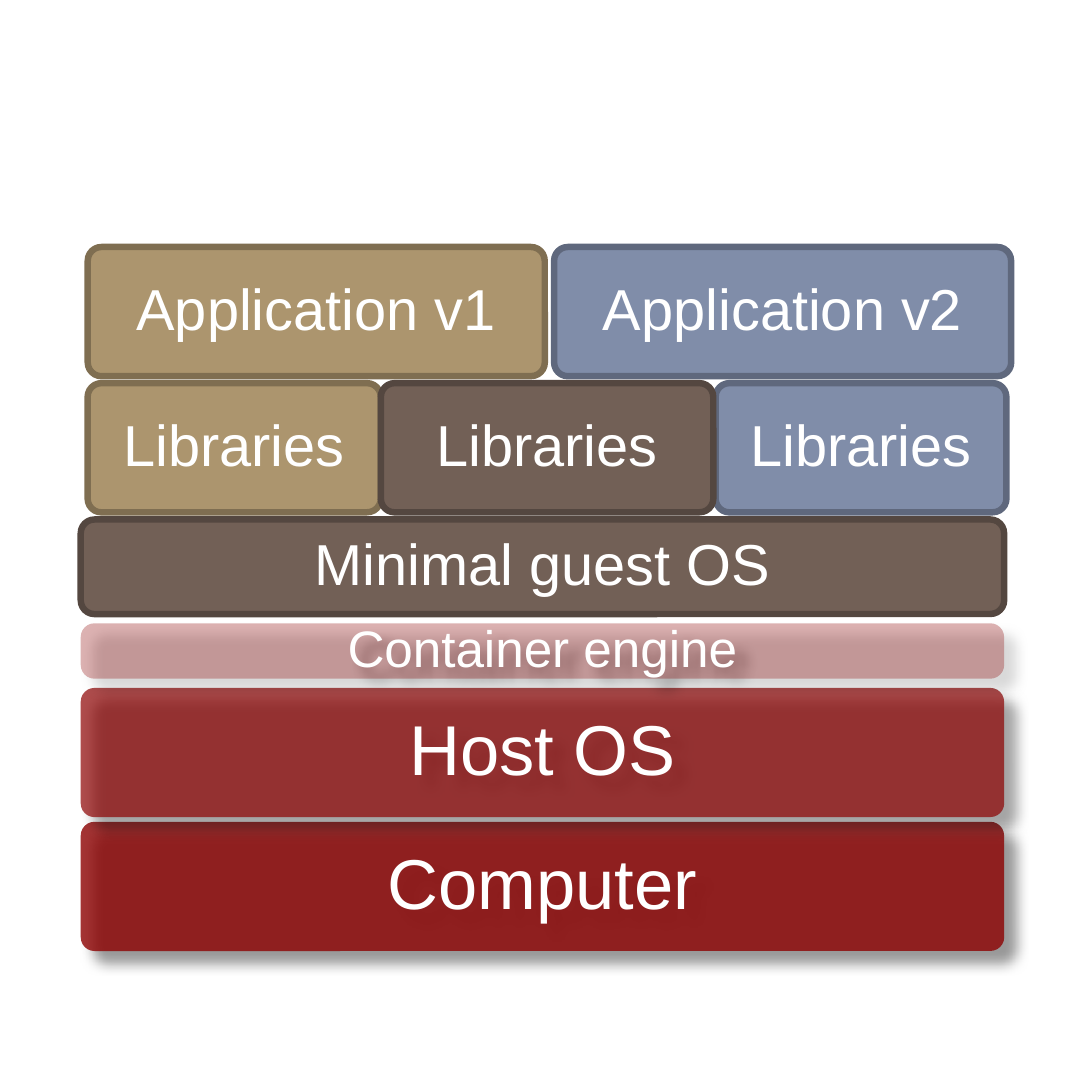
from lxml.etree import SubElement
from pptx import Presentation
from pptx.dml.color import RGBColor
from pptx.enum.shapes import MSO_SHAPE
from pptx.enum.text import MSO_ANCHOR, PP_ALIGN
from pptx.oxml.ns import qn
from pptx.util import Inches, Pt

COLORS = {
    "host": "8D0101",
    "shared": "726056",
    "shared_edge": "544740",
    "first": "AC956E",
    "first_edge": "7F6E51",
    "second": "808DA9",
    "second_edge": "5F687D",
    "text": "FFFFFF",
    "shadow": "000000",
}
CORNER = 0.06
LAYER_LEFT, LAYER_WIDTH = 0.35, 4
ROW_HEIGHT = 0.56
APPLICATION_TOP, LIBRARY_TOP = 1.07, 1.66

HOST_LAYERS = [
    ("Computer", 3.56, ROW_HEIGHT, 80, 22),
    ("Host OS", 2.98, ROW_HEIGHT, 70, 22),
    ("Container engine", 2.7, 0.24, 30, 16),
]
GUEST_BLOCKS = [
    ("Minimal guest OS", LAYER_LEFT, 2.25, LAYER_WIDTH, 0.41, "shared"),
    ("Libraries", 0.38, LIBRARY_TOP, 1.27, ROW_HEIGHT, "first"),
    ("Application v1", 0.38, APPLICATION_TOP, 1.98, ROW_HEIGHT, "first"),
    ("Libraries", 3.1, LIBRARY_TOP, 1.26, ROW_HEIGHT, "second"),
    ("Application v2", 2.4, APPLICATION_TOP, 1.98, ROW_HEIGHT, "second"),
    ("Libraries", 1.65, LIBRARY_TOP, 1.44, ROW_HEIGHT, "shared"),
]


def color(name):
    return RGBColor.from_string(COLORS[name])


def add_block(page, text, left, top, width, height, fill, size):
    block = page.shapes.add_shape(
        MSO_SHAPE.ROUNDED_RECTANGLE,
        Inches(left), Inches(top), Inches(width), Inches(height))
    block.adjustments[0] = CORNER / min(width, height)
    block.shadow.inherit = False
    block.fill.solid()
    block.fill.fore_color.rgb = color(fill)
    block.line.fill.background()
    frame = block.text_frame
    frame.word_wrap = True
    frame.vertical_anchor = MSO_ANCHOR.MIDDLE
    frame.margin_left = frame.margin_right = 0
    frame.margin_top = frame.margin_bottom = 0
    paragraph = frame.paragraphs[0]
    paragraph.text = text
    paragraph.alignment = PP_ALIGN.CENTER
    paragraph.line_spacing = 0.9
    paragraph.font.name = "Arial"
    paragraph.font.size = Pt(size)
    paragraph.font.color.rgb = color("text")
    return block


def set_opacity(color_element, percent):
    SubElement(color_element, qn("a:alpha"), val=str(percent * 1000))


def add_shadow(block):
    effects = block._element.spPr.find(qn("a:effectLst"))
    shadow = SubElement(
        effects, qn("a:outerShdw"), blurRad=str(Pt(4)), dist=str(Pt(5)),
        dir=str(45 * 60000), algn="tl", rotWithShape="0")
    shade = SubElement(shadow, qn("a:srgbClr"), val=COLORS["shadow"])
    set_opacity(shade, 50)


def add_host_layer(page, text, top, height, opacity, size):
    layer = add_block(page, text, LAYER_LEFT, top, LAYER_WIDTH, height, "host", size)
    fill = layer._element.spPr.find(qn("a:solidFill"))
    set_opacity(fill.find(qn("a:srgbClr")), opacity)
    add_shadow(layer)


def add_guest_block(page, text, left, top, width, height, owner):
    block = add_block(page, text, left, top, width, height, owner, 18)
    block.line.color.rgb = color(owner + "_edge")
    block.line.width = Pt(2)


def main():
    deck = Presentation()
    deck.slide_width = deck.slide_height = Inches(4.73)
    page = deck.slides.add_slide(deck.slide_layouts[6])
    for layer in HOST_LAYERS:
        add_host_layer(page, *layer)
    for block in GUEST_BLOCKS:
        add_guest_block(page, *block)
    deck.save("out.pptx")


main()
